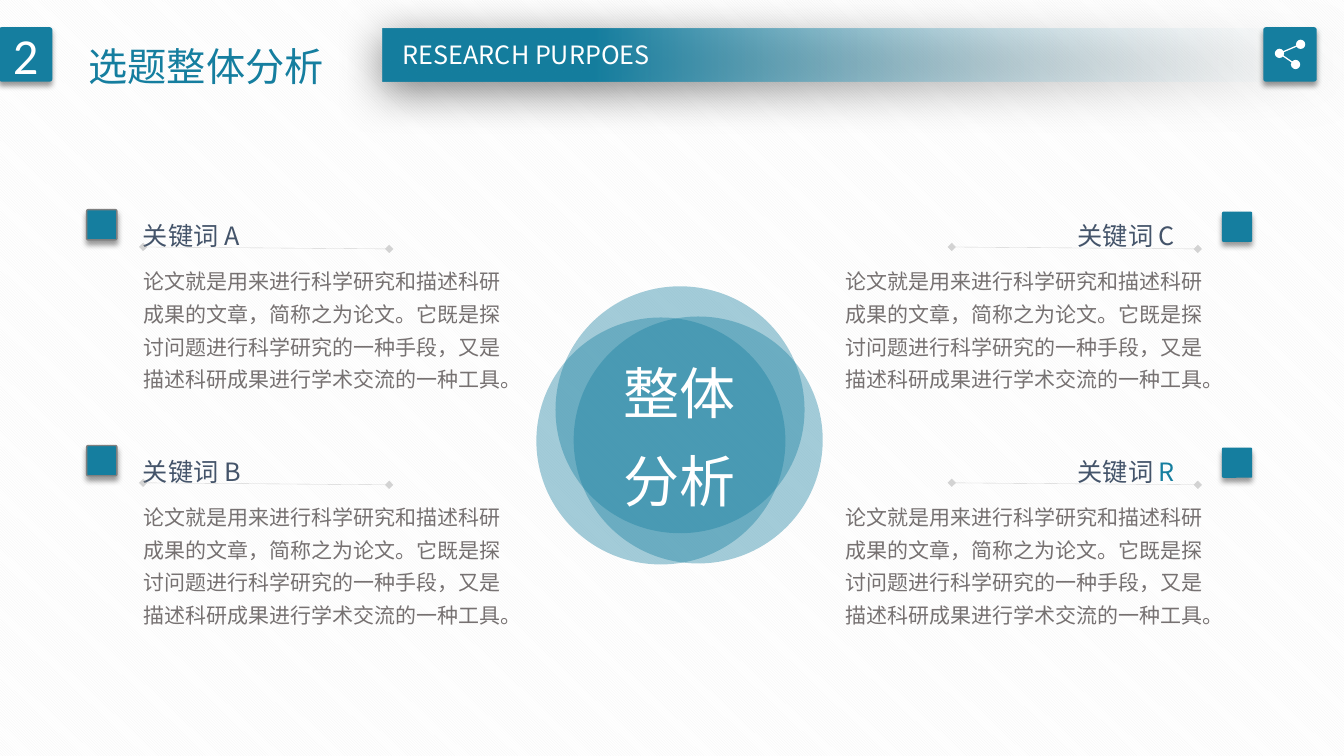
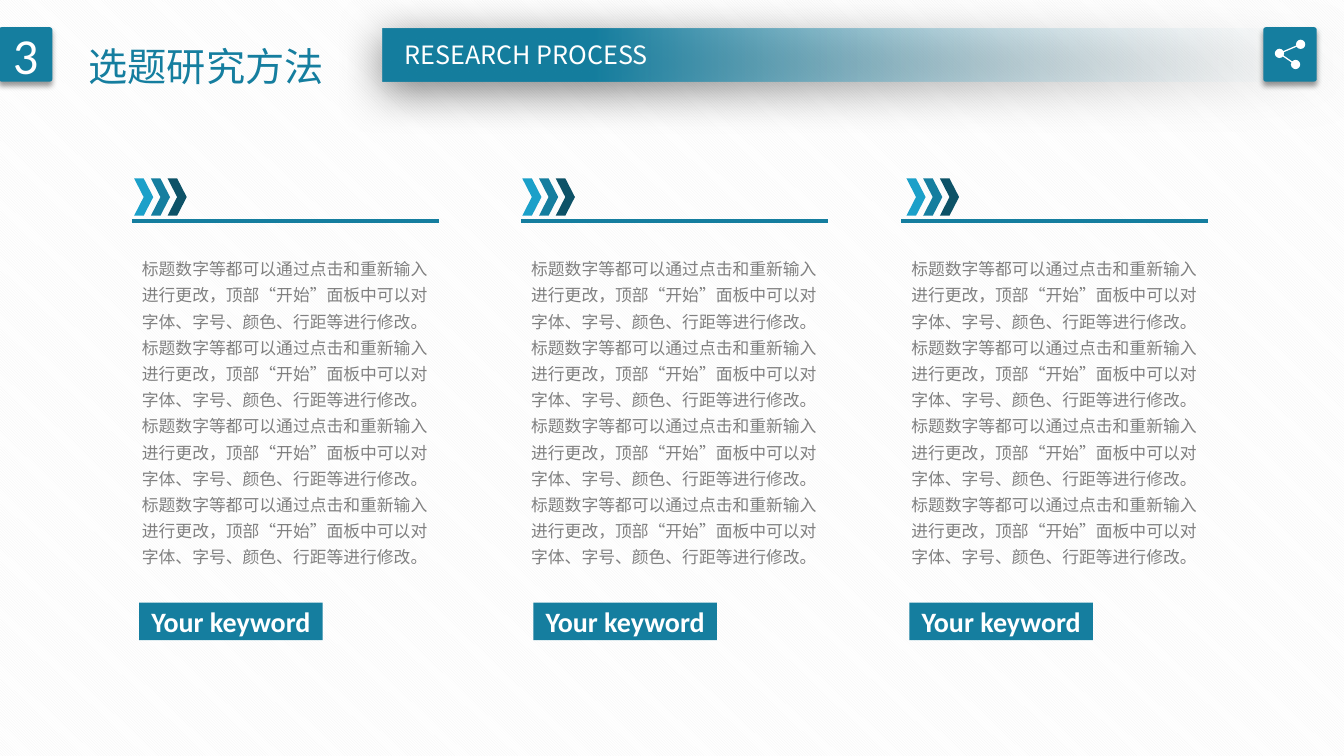
from dataclasses import dataclass
from typing import Optional

from pptx import Presentation
from pptx import util as u
from pptx.dml.color import RGBColor
from pptx.enum import dml, shapes, text
from pptx.oxml.ns import qn
from pptx.oxml.xmlchemy import OxmlElement

# The slide is a grid of 133.3 columns by 75 rows; every length counts grid cells.
CELL = u.Inches(0.1)
COLUMNS, ROWS = 133.3, 75

TEAL, SKY, NAVY, WHITE = "157E9F", "1BA0C9", "0D5267", "FFFFFF"
SLATE, BODY_GREY, MID_GREY = "44546A", "767171", "808080"
CJK, LATIN = "Noto Sans CJK SC", "Calibri"
CENTER, LEFT = text.PP_ALIGN.CENTER, text.PP_ALIGN.LEFT
SHAPE = shapes.MSO_SHAPE

THESIS = ("论文就是用来进行科学研究和描述科研成果的文章，简称之为论文。"
          "它既是探讨问题进行科学研究的一种手段，又是描述科研成果进行学术交流的一种工具。")
METHOD = ("标题数字等都可以通过点击和重新输入进行更改，"
          "顶部“开始”面板中可以对字体、字号、颜色、行距等进行修改。") * 4


@dataclass(frozen=True)
class Box:
    left: float
    top: float
    width: float
    height: float

    def emu(self) -> list[int]:
        return [cells(n) for n in (self.left, self.top, self.width, self.height)]


@dataclass(frozen=True)
class Shadow:
    alpha: int
    blur: float
    distance: float
    angle: int


@dataclass(frozen=True)
class Side:
    """Left edges of the parts of a keyword block."""
    marker: float
    marker_drop: float
    label: float
    rule: float
    body: float
    outline: Optional[str]


@dataclass(frozen=True)
class Keyword:
    side: Side
    row: int
    letter: str
    letter_color: str = SLATE


@dataclass(frozen=True)
class MethodColumn:
    left: float
    chevrons: float
    tag: float


BAND_SHADOW = Shadow(50, 31, 6, 97)
TILE_SHADOW = Shadow(40, 4, 3, 90)

LEFT_SIDE = Side(8.6, 0, 13.2, 14.2, 13.3, "7F7F7F")
RIGHT_SIDE = Side(121.2, 0.2, 105.9, 94.4, 82.9, None)
KEYWORDS = [
    Keyword(LEFT_SIDE, 0, "A"),
    Keyword(LEFT_SIDE, 1, "B"),
    Keyword(RIGHT_SIDE, 0, "C"),
    Keyword(RIGHT_SIDE, 1, "R", TEAL),
]
KEYWORD_TOP, KEYWORD_PITCH = 20.5, 23.4

METHOD_COLUMNS = [
    MethodColumn(13.1, 13.3, 13.8),
    MethodColumn(51.7, 51.8, 52.9),
    MethodColumn(89.4, 89.9, 90.2),
]


def cells(count: float) -> int:
    return round(count * CELL)


def rgb(color: str) -> RGBColor:
    return RGBColor.from_string(color)


def add_element(parent, tag: str, **attributes):
    child = OxmlElement(tag)
    for key, value in attributes.items():
        child.set(key, str(value))
    parent.append(child)
    return child


def set_alpha(color_node, percent: int) -> None:
    add_element(color_node, "a:alpha", val=percent * 1000)


def cast_shadow(shape, shadow: Shadow) -> None:
    effects = shape.element.spPr.find(qn("a:effectLst"))
    outer = add_element(effects, "a:outerShdw", blurRad=u.Pt(shadow.blur),
                        dist=u.Pt(shadow.distance), dir=shadow.angle * 60000,
                        algn="ctr", rotWithShape=0)
    set_alpha(add_element(outer, "a:srgbClr", val="000000"), shadow.alpha)


def write(frame, content: str, *, size: float, color: str, font: str = CJK,
          bold: bool = False, align=LEFT, spacing: float = 1.0,
          anchor=text.MSO_ANCHOR.TOP, wrap: bool = True,
          ending: str = "", ending_color: str = "") -> None:
    """Fill a text frame with one paragraph; the ending may have its own colour."""
    frame.word_wrap = wrap
    frame.auto_size = text.MSO_AUTO_SIZE.NONE
    frame.vertical_anchor = anchor
    paragraph = frame.paragraphs[0]
    paragraph.alignment = align
    paragraph.line_spacing = spacing
    for words, ink in ((content, color), (ending, ending_color)):
        if not words:
            continue
        run = paragraph.add_run()
        run.text = words
        run.font.size = u.Pt(size)
        run.font.bold = bold
        run.font.color.rgb = rgb(ink)
        run.font.name = font
        add_element(run.font._element, "a:ea", typeface=font)


def add_text(slide, box: Box, content: str, **style) -> None:
    write(slide.shapes.add_textbox(*box.emu()).text_frame, content, **style)


def add_block(slide, kind, box: Box, fill: str = TEAL, *, alpha: int = 100,
              outline: Optional[str] = None, shadow: Optional[Shadow] = None):
    block = slide.shapes.add_shape(kind, *box.emu())
    block.shadow.inherit = False
    block.fill.solid()
    block.fill.fore_color.rgb = rgb(fill)
    if alpha < 100:
        set_alpha(block.element.spPr.find(".//" + qn("a:srgbClr")), alpha)
    if outline:
        block.line.color.rgb = rgb(outline)
        block.line.width = u.Pt(1)
    else:
        block.line.fill.background()
    if shadow:
        cast_shadow(block, shadow)
    return block


def add_tile(slide, box: Box, outline: Optional[str] = None):
    """Draw a slightly rounded teal square with a soft shadow."""
    tile = add_block(slide, SHAPE.ROUNDED_RECTANGLE, box,
                     outline=outline, shadow=TILE_SHADOW)
    tile.adjustments[0] = 0.05
    return tile


def add_line(slide, start: tuple[float, float], end: tuple[float, float], color: str,
             width: float, *, alpha: int = 100, ends: Optional[str] = None) -> None:
    line = slide.shapes.add_connector(
        shapes.MSO_CONNECTOR.STRAIGHT, *(cells(n) for n in (*start, *end)))
    line.line.color.rgb = rgb(color)
    line.line.width = u.Pt(width)
    properties = line.element.spPr
    if alpha < 100:
        set_alpha(properties.find(".//" + qn("a:srgbClr")), alpha)
    if ends:
        for tag in ("a:headEnd", "a:tailEnd"):
            add_element(properties.find(qn("a:ln")), tag, type=ends)
    add_element(properties, "a:effectLst")


def add_band(slide) -> None:
    """Draw the header band, which fades out to the right."""
    band = add_block(slide, SHAPE.RECTANGLE, Box(38, 2.8, 95.3, 5.3), shadow=BAND_SHADOW)
    band.fill.gradient()
    band.fill.gradient_angle = 180
    for stop, color, position in zip(band.fill.gradient_stops, ("F7FAFD", TEAL), (0, 0.78)):
        stop.color.rgb = rgb(color)
        stop.position = position
    set_alpha(band.element.spPr.find(".//" + qn("a:srgbClr")), 0)


def add_share_icon(slide) -> None:
    add_tile(slide, Box(125.3, 2.7, 5.3, 5.4))
    hub, *nodes = (126.9, 5.3), (129, 4.4), (128.5, 6.4)
    for node in nodes:
        add_line(slide, hub, node, WHITE, 0.9)
    radius = 0.46
    for x, y in (hub, *nodes):
        add_block(slide, SHAPE.OVAL,
                  Box(x - radius, y - radius, 2 * radius, 2 * radius), WHITE)


def add_titled_slide(deck, number: str, title: str, english: str, english_left: float):
    slide = deck.slides.add_slide(deck.slide_layouts[5])
    heading = slide.shapes.title
    heading.left, heading.top, heading.width, heading.height = Box(7.8, 1.4, 26, 8.1).emu()
    write(heading.text_frame, title, size=28, color=TEAL, spacing=1.5, wrap=False)
    add_band(slide)
    badge = add_tile(slide, Box(-0.1, 2.7, 5.3, 5.4))
    write(badge.text_frame, number, size=36, color=WHITE, font=LATIN, align=CENTER,
          anchor=text.MSO_ANCHOR.MIDDLE)
    add_text(slide, Box(english_left, 3.4, 27, 4), english, size=18, color=WHITE,
             align=CENTER, wrap=False)
    add_share_icon(slide)
    return slide


def add_keyword(slide, keyword: Keyword) -> None:
    side = keyword.side
    top = KEYWORD_TOP + keyword.row * KEYWORD_PITCH
    add_tile(slide, Box(side.marker, top + 0.3 + side.marker_drop, 3, 3), side.outline)
    add_text(slide, Box(side.label, top, 12.6, 5), "关键词 ", size=18, color=SLATE,
             spacing=1.3, wrap=False, ending=keyword.letter,
             ending_color=keyword.letter_color)
    add_line(slide, (side.rule, top + 4), (side.rule + 24.4, top + 4.2), MID_GREY, 0.25,
             alpha=33, ends="diamond")
    add_text(slide, Box(side.body, top + 4.9, 38.6, 14.1), THESIS, size=15,
             color=BODY_GREY, spacing=1.3)


def add_method(slide, column: MethodColumn) -> None:
    add_line(slide, (column.left, 21.9), (column.left + 30.4, 21.9), TEAL, 3)
    add_text(slide, Box(column.left, 24.6, 30.4, 32.5), METHOD, size=12,
             color=MID_GREY, spacing=1.3)
    tag = add_block(slide, SHAPE.RECTANGLE, Box(column.tag, 59.8, 18.2, 3.7))
    write(tag.text_frame, "Your keyword", size=20, color=WHITE, font=LATIN, bold=True,
          align=CENTER, anchor=text.MSO_ANCHOR.MIDDLE)
    for step, shade in enumerate((SKY, TEAL, NAVY)):
        add_block(slide, SHAPE.CHEVRON,
                  Box(column.chevrons + 1.66 * step, 17.7, 1.9, 3.7), shade)


def build_analysis(deck) -> None:
    slide = add_titled_slide(deck, "2", "选题整体分析", "RESEARCH PURPOES", 38.7)
    for left, top in ((53.2, 31.5), (55.1, 28.4), (56.9, 31.4)):
        add_block(slide, SHAPE.OVAL, Box(left, top, 24.7, 24.5), alpha=39)
    add_text(slide, Box(59, 33.1, 16.7, 18.5), "整体分析", size=40, color=WHITE,
             align=CENTER, spacing=1.3)
    for keyword in KEYWORDS:
        add_keyword(slide, keyword)


def build_methods(deck) -> None:
    slide = add_titled_slide(deck, "3", "选题研究方法", "RESEARCH PROCESS", 38.7)
    for column in METHOD_COLUMNS:
        add_method(slide, column)


def main() -> None:
    deck = Presentation()
    deck.slide_width, deck.slide_height = cells(COLUMNS), cells(ROWS)
    backdrop = deck.slide_master.background.fill
    backdrop.patterned()
    backdrop.pattern = dml.MSO_PATTERN.DARK_DOWNWARD_DIAGONAL
    backdrop.fore_color.rgb = rgb("F2F2F2")
    backdrop.back_color.rgb = rgb(WHITE)
    build_analysis(deck)
    build_methods(deck)
    deck.save("out.pptx")


if __name__ == "__main__":
    main()
